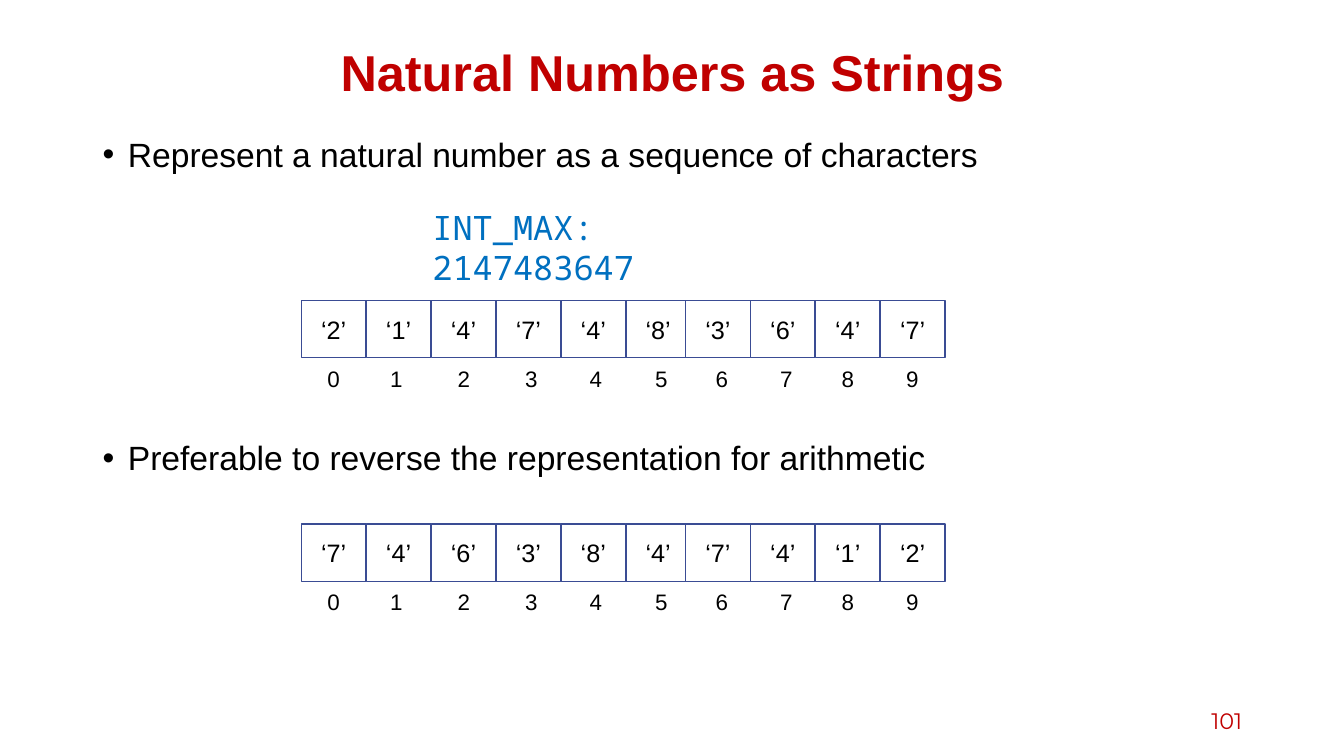
from lxml import etree
from pptx import Presentation
from pptx.dml.color import RGBColor
from pptx.enum import shapes, text
from pptx.oxml import ns
from pptx.util import Inches, Pt

TITLE = "Natural Numbers as Strings"
POINTS = [
    ("Represent a natural number as a sequence of characters", 10),
    ("Preferable to reverse the representation for arithmetic", 191),
]
LIMIT = "INT_MAX: 2147483647"
DIGITS = "2147483647"
PAGE = "101"
ROWS = [(DIGITS, 2.98), (DIGITS[::-1], 5.2)]
MARKS = [3.11, 3.73, 4.4, 5.07, 5.71, 6.36, 6.96, 7.6, 8.21, 8.85]
LEFT, STEP, SHIFT = 2.99, 0.6435, 0.05
WIDE, HIGH = 0.64, 0.57
COLORS = {"red": "C00000", "blue": "0070C0", "edge": "3A4C94",
          "ink": "000000", "paper": "FFFFFF"}
ALIGN, ANCHOR = text.PP_ALIGN, text.MSO_ANCHOR


def tint(name):
    """Return a named colour."""
    return RGBColor.from_string(COLORS[name])


def write(para, words, size, color="ink", face="Arial", bold=False):
    """Add one styled run to a paragraph."""
    run = para.add_run()
    run.text = words
    font = run.font
    font.size, font.name, font.bold = Pt(size), face, bold
    font.color.rgb = tint(color)


def label(slide, box, words, size, align=ALIGN.LEFT, anchor=ANCHOR.TOP, **style):
    """Add a text box holding one paragraph."""
    frame = slide.shapes.add_textbox(*map(Inches, box)).text_frame
    frame.word_wrap = True
    frame.vertical_anchor = anchor
    para = frame.paragraphs[0]
    para.alignment = align
    write(para, words, size, **style)
    return para


def bullets(slide):
    """Add the bulleted statements."""
    box = slide.shapes.add_textbox(*map(Inches, (0.92, 1.32, 11.5, 5.51)))
    frame = box.text_frame
    frame.word_wrap = True
    for i, (words, gap) in enumerate(POINTS):
        para = frame.add_paragraph() if i else frame.paragraphs[0]
        para.line_spacing, para.space_before = 0.9, Pt(gap)
        props = para._p.get_or_add_pPr()
        props.set("marL", str(Inches(0.25)))
        props.set("indent", str(-Inches(0.25)))
        etree.SubElement(props, ns.qn("a:buFont")).set("typeface", "Arial")
        etree.SubElement(props, ns.qn("a:buChar")).set("char", "•")
        write(para, words, 24)


def cell(slide, left, top, digit):
    """Add one bordered character cell."""
    box = slide.shapes.add_shape(shapes.MSO_SHAPE.RECTANGLE,
                                 *map(Inches, (left, top, WIDE, HIGH)))
    box.shadow.inherit = False
    box.fill.solid()
    box.fill.fore_color.rgb = tint("paper")
    box.line.color.rgb = tint("edge")
    box.line.width = Pt(1)
    frame = box.text_frame
    frame.vertical_anchor = ANCHOR.MIDDLE
    para = frame.paragraphs[0]
    para.alignment = ALIGN.CENTER
    write(para, f"‘{digit}’", 18)


def row(slide, digits, top):
    """Add a row of cells with their indices below."""
    for i, digit in enumerate(digits):
        cell(slide, LEFT + i * STEP - SHIFT * (i > 5), top, digit)
    for i, left in enumerate(MARKS):
        label(slide, (left, top + 0.59, 0.4, 0.37), str(i), 16, ALIGN.CENTER)


def main():
    """Build and save the slide."""
    deck = Presentation()
    deck.slide_width, deck.slide_height = Inches(13.33), Inches(7.5)
    slide = deck.slides.add_slide(deck.slide_layouts[6])
    head = label(slide, (0.92, 0.4, 11.5, 0.7), TITLE, 36, ALIGN.CENTER,
                 ANCHOR.MIDDLE, color="red", bold=True)
    head.line_spacing = 0.9
    bullets(slide)
    label(slide, (9.42, 6.95, 3, 0.4), PAGE, 16, ALIGN.RIGHT, ANCHOR.MIDDLE,
          color="red", face="Montserrat")
    label(slide, (4.19, 2, 3.83, 0.5), LIMIT, 24, color="blue",
          face="Noto Sans Mono")
    for digits, top in ROWS:
        row(slide, digits, top)
    deck.save("out.pptx")


if __name__ == "__main__":
    main()
